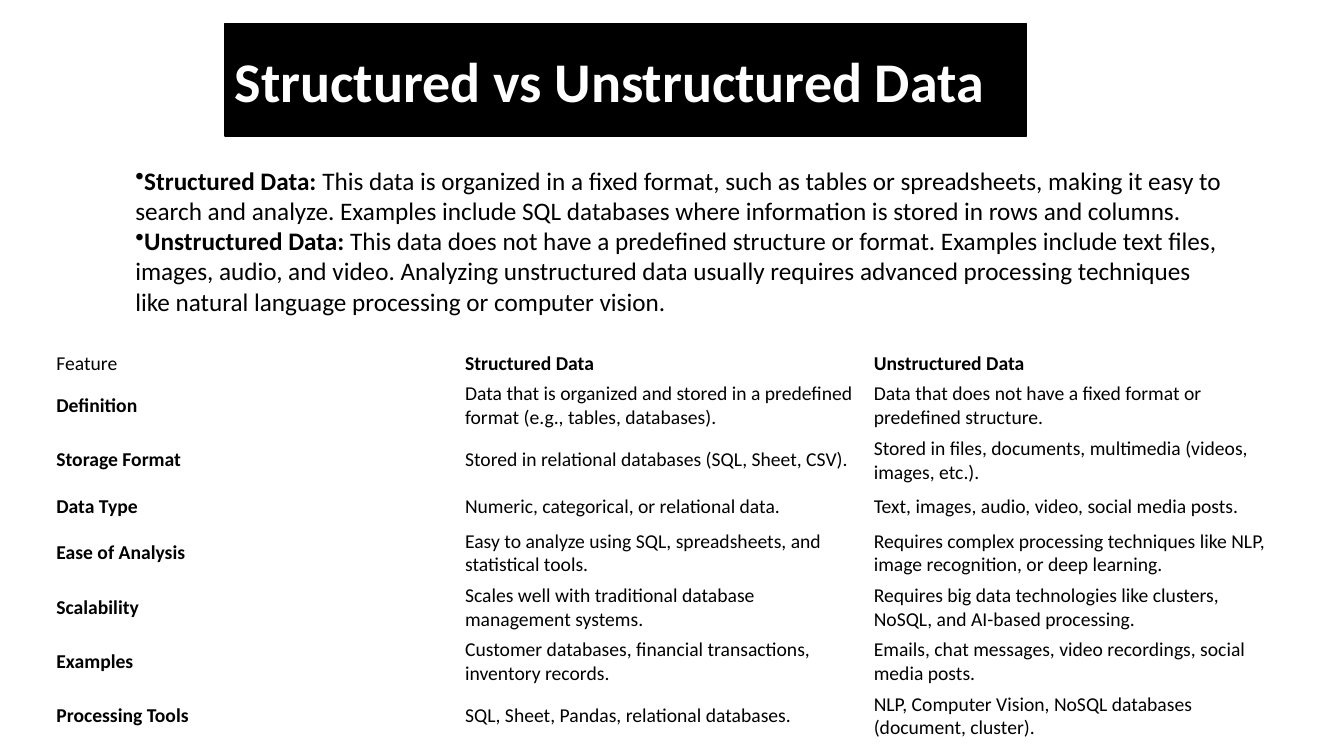
from dataclasses import dataclass

from lxml import etree
from pptx import Presentation
from pptx.dml.color import RGBColor
from pptx.enum import shapes, text
from pptx.oxml import ns
from pptx.util import Cm, Pt


@dataclass(frozen=True)
class Theme:
    font: str = "Calibri"
    dark: RGBColor = RGBColor(0, 0, 0)
    light: RGBColor = RGBColor(255, 255, 255)
    title: int = 40
    body: int = 18
    cell: int = 14


theme = Theme()


def add_span(para, wording, size, color=theme.dark, bold=False):
    span = para.add_run()
    span.text = wording
    span.font.name = theme.font
    span.font.size = Pt(size)
    span.font.bold = bold
    span.font.color.rgb = color


definitions = [
    ("Structured Data:",
     " This data is organized in a fixed format, such as tables or spreadsheets, "
     "making it easy to search and analyze. Examples include SQL databases where "
     "information is stored in rows and columns."),
    ("Unstructured Data:",
     " This data does not have a predefined structure or format. Examples include "
     "text files, images, audio, and video. Analyzing unstructured data usually "
     "requires advanced processing techniques like natural language processing or "
     "computer vision."),
]

comparison = [
    ("Feature", "Structured Data", "Unstructured Data"),
    ("Definition",
     "Data that is organized and stored in a predefined format (e.g., tables, databases).",
     "Data that does not have a fixed format or predefined structure."),
    ("Storage Format",
     "Stored in relational databases (SQL, Sheet, CSV).",
     "Stored in files, documents, multimedia (videos, images, etc.)."),
    ("Data Type",
     "Numeric, categorical, or relational data.",
     "Text, images, audio, video, social media posts."),
    ("Ease of Analysis",
     "Easy to analyze using SQL, spreadsheets, and statistical tools.",
     "Requires complex processing techniques like NLP, image recognition, or deep learning."),
    ("Scalability",
     "Scales well with traditional database management systems.",
     "Requires big data technologies like clusters, NoSQL, and AI-based processing."),
    ("Examples",
     "Customer databases, financial transactions, inventory records.",
     "Emails, chat messages, video recordings, social media posts."),
    ("Processing Tools",
     "SQL, Sheet, Pandas, relational databases.",
     "NLP, Computer Vision, NoSQL databases (document, cluster)."),
]
row_heights = [0.53, 1.37, 0.97, 0.97, 1.37, 1.37, 0.97, 0.97]

deck = Presentation()
deck.slide_width = Cm(33.87)
deck.slide_height = Cm(19.05)
page = deck.slides.add_slide(deck.slide_layouts[6])

banner = page.shapes.add_shape(
    shapes.MSO_SHAPE.RECTANGLE, Cm(5.67), Cm(0.6), Cm(20.2), Cm(2.83))
banner.shadow.inherit = False
banner.fill.solid()
banner.fill.fore_color.rgb = theme.dark
banner.line.color.rgb = theme.dark
banner.line.width = Pt(1)
banner.text_frame.vertical_anchor = text.MSO_ANCHOR.MIDDLE
para = banner.text_frame.paragraphs[0]
para.alignment = text.PP_ALIGN.LEFT
add_span(para, "Structured vs Unstructured Data", theme.title, theme.light, True)

box = page.shapes.add_textbox(Cm(3.16), Cm(4.03), Cm(28.07), Cm(4.11))
box.text_frame.word_wrap = True
box.text_frame.auto_size = text.MSO_AUTO_SIZE.SHAPE_TO_FIT_TEXT
for index, (term, meaning) in enumerate(definitions):
    para = box.text_frame.add_paragraph() if index else box.text_frame.paragraphs[0]
    bullet = etree.SubElement(para._p.get_or_add_pPr(), ns.qn("a:buChar"))
    bullet.set("char", "•")
    add_span(para, term, theme.body, bold=True)
    add_span(para, meaning, theme.body)

table = page.shapes.add_table(
    len(comparison), len(comparison[0]),
    Cm(1.23), Cm(8.77), Cm(30.9), Cm(sum(row_heights))).table
table.first_row = False
table.horz_banding = False
for column in table.columns:
    column.width = Cm(10.3)
for row_index, (wordings, height) in enumerate(zip(comparison, row_heights)):
    table.rows[row_index].height = Cm(height)
    for column_index, wording in enumerate(wordings):
        cell = table.cell(row_index, column_index)
        cell.fill.background()
        cell.vertical_anchor = text.MSO_ANCHOR.MIDDLE
        cell.margin_left = cell.margin_right = Cm(0.19)
        cell.margin_top = cell.margin_bottom = Cm(0.09)
        is_heading = (row_index == 0) != (column_index == 0)
        add_span(cell.text_frame.paragraphs[0], wording, theme.cell, bold=is_heading)

deck.save("out.pptx")
